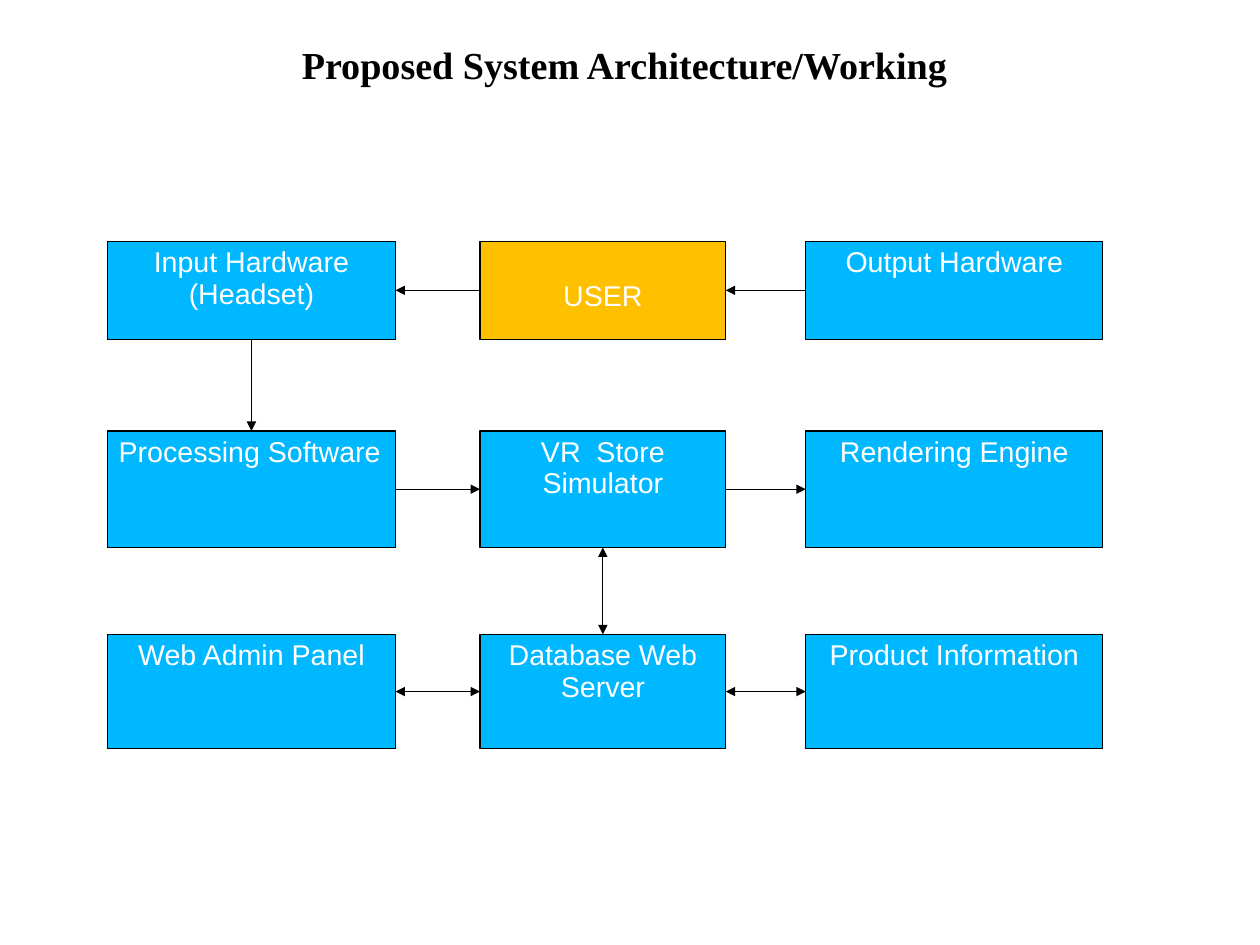
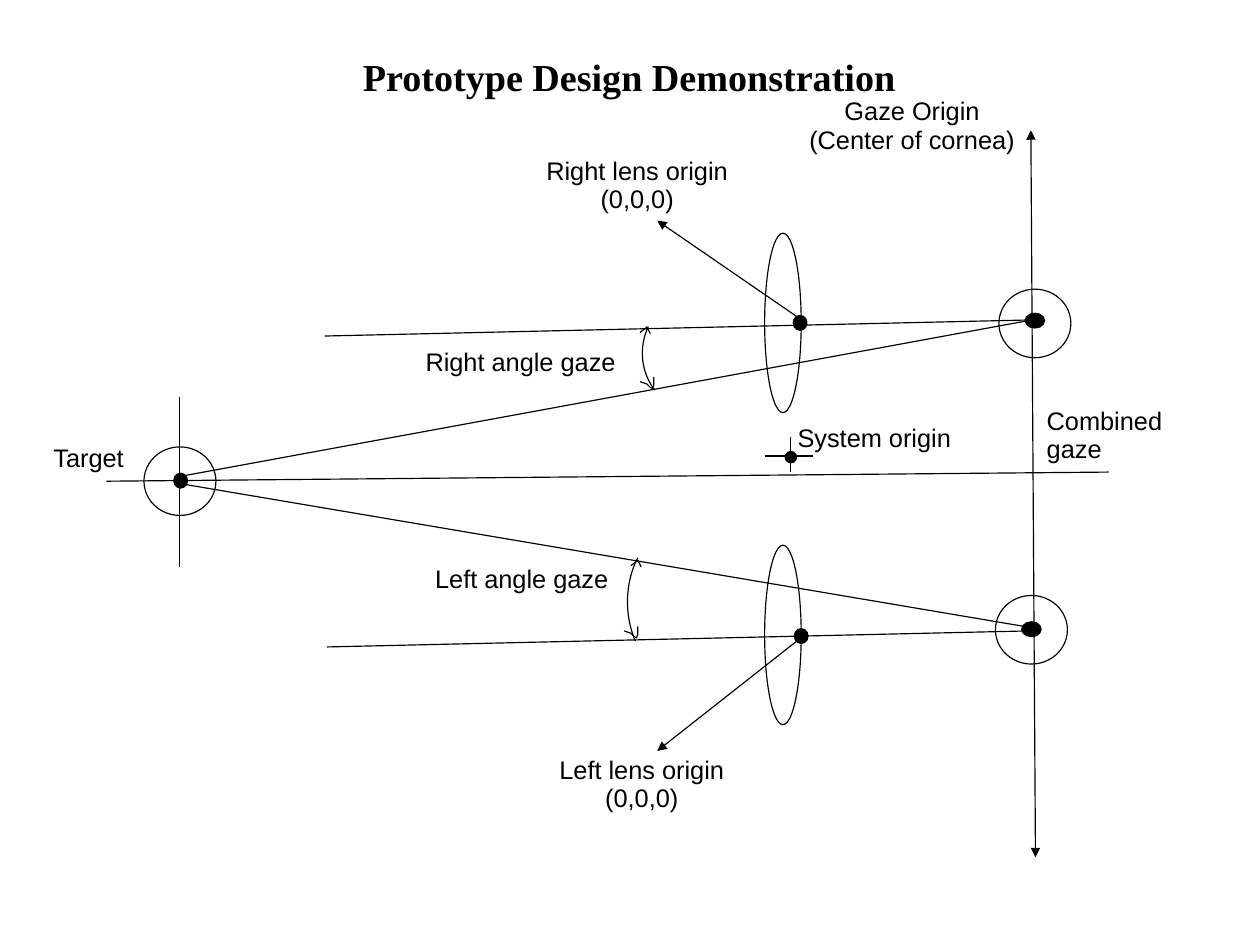
from lxml import etree
from pptx import Presentation
from pptx.dml.color import RGBColor
from pptx.enum.shapes import MSO_CONNECTOR, MSO_SHAPE
from pptx.enum.text import MSO_ANCHOR, PP_ALIGN
from pptx.oxml.ns import qn
from pptx.util import Inches, Pt

BLACK = RGBColor(0x00, 0x00, 0x00)
WHITE = RGBColor(0xFF, 0xFF, 0xFF)
BLUE = RGBColor(0x00, 0xB8, 0xFF)
AMBER = RGBColor(0xFF, 0xC0, 0x00)
LEFT, CENTER = PP_ALIGN.LEFT, PP_ALIGN.CENTER
TOP, MIDDLE = MSO_ANCHOR.TOP, MSO_ANCHOR.MIDDLE
RECT, OVAL, ARC = MSO_SHAPE.RECTANGLE, MSO_SHAPE.OVAL, MSO_SHAPE.ARC
DOT = MSO_SHAPE.FLOWCHART_CONNECTOR
STRAIGHT = MSO_CONNECTOR.STRAIGHT
BODY_FONT, TITLE_FONT = "Arial", "Times New Roman"
SLIDE_WIDTH, SLIDE_HEIGHT = Pt(793.75), Pt(595.25)
LINE_WIDTH = Pt(0.75)
LINE_SPACING = 0.93

COLUMNS = [(0.94, 2.52), (4.2, 2.15), (7.05, 2.6)]
ROWS = [(2.11, 0.86), (3.77, 1.02), (5.55, 1.0)]
BLOCKS = [
    [["Input Hardware", "(Headset)"], ["USER"], ["Output Hardware"]],
    [["Processing Software"], ["VR  Store Simulator"], ["Rendering Engine"]],
    [["Web Admin Panel"], ["Database Web Server"], ["Product Information"]],
]
USER_CELL, LEFT_CELL = (0, 1), (1, 0)
FLOWS = [
    ((0, 1), (0, 0), False),
    ((0, 2), (0, 1), False),
    ((0, 0), (1, 0), False),
    ((1, 0), (1, 1), False),
    ((1, 1), (1, 2), False),
    ((1, 1), (2, 1), True),
    ((2, 0), (2, 1), True),
    ((2, 1), (2, 2), True),
]

PLAIN_LINES = [
    (1.57, 3.47, 1.57, 4.96),
    (0.93, 4.21, 9.7, 4.13),
    (1.62, 4.16, 8.97, 2.81),
    (1.57, 4.23, 8.96, 5.48),
    (8.97, 2.8, 2.84, 2.94),
    (8.99, 5.52, 2.86, 5.66),
    (6.92, 3.82, 6.92, 4.13),
    (6.69, 3.99, 7.11, 3.99),
]
GAZE_AXIS = (9.06, 7.5, 9.02, 1.14)
LENS_POINTERS = [(7.06, 2.83, 5.75, 1.93), (6.97, 5.61, 5.75, 6.57)]
EYE_SIZE, EYES = (0.63, 0.6), [(8.74, 2.53), (8.71, 5.21), (1.26, 3.91)]
LENS_SIZE, LENSES = (0.32, 1.57), [(6.69, 2.04), (6.69, 4.77)]
PUPIL_SIZE, PUPILS = (0.17, 0.13), [(8.97, 2.74), (8.94, 5.44)]
POINT_SIZE, POINTS = (0.12, 0.13), [(1.52, 4.14), (6.94, 2.76), (6.95, 5.5)]
ORIGIN_SIZE, ORIGINS = (0.1, 0.1), [(6.87, 3.95)]
OUTLINES = [(EYE_SIZE, EYES), (LENS_SIZE, LENSES)]
DOTS = [(PUPIL_SIZE, PUPILS), (POINT_SIZE, POINTS), (ORIGIN_SIZE, ORIGINS)]
ANGLE_ARCS = [
    ((5.62, 2.59, 0.92, 1.0), (82.46, 125.79)),
    ((5.49, 4.64, 0.85, 1.25), (81.66, 137.39)),
]
UP_TIP = [(0, 0.05), (0.05, 0.01), (0.06, 0), (0.08, 0.04), (0.09, 0.06)]
DOWN_TIP = [(0, 0.04), (0.06, 0.06), (0.09, 0.09), (0.11, 0.1), (0.12, 0.07), (0.12, 0)]
ARC_TIPS = [
    (UP_TIP, [(5.6, 2.86), (5.52, 4.9)]),
    (DOWN_TIP, [(5.6, 3.3), (5.46, 5.48)]),
]
LABELS = [
    ((6.84, 0.81, 2.28, 0.6), CENTER, ["Gaze Origin", "(Center of cornea)"]),
    ((4.58, 1.33, 1.99, 0.6), CENTER, ["Right lens origin", "(0,0,0)"]),
    ((4.62, 6.57, 1.99, 0.6), CENTER, ["Left lens origin", "(0,0,0)"]),
    ((3.56, 3.0, 1.99, 0.35), CENTER, ["Right angle gaze"]),
    ((3.57, 4.9, 1.99, 0.35), CENTER, ["Left angle gaze"]),
    ((-0.22, 3.84, 1.99, 0.35), CENTER, ["Target"]),
    ((9.06, 3.52, 1.99, 0.6), LEFT, ["Combined", "gaze"]),
    ((6.88, 3.67, 1.99, 0.35), LEFT, ["System origin"]),
]


def inches(values):
    return [Inches(v) for v in values]


def write(tf, lines, size, color=BLACK, align=CENTER, font=BODY_FONT, bold=False):
    tf.word_wrap = True
    for i, text in enumerate(lines):
        p = tf.add_paragraph() if i else tf.paragraphs[0]
        p.alignment = align
        p.line_spacing = LINE_SPACING
        r = p.add_run()
        r.text = text
        r.font.name = font
        r.font.size = Pt(size)
        r.font.bold = bold
        r.font.color.rgb = color


def add_text(s, box, lines, size, **style):
    tf = s.shapes.add_textbox(*inches(box)).text_frame
    tf.vertical_anchor = TOP
    write(tf, lines, size, **style)
    return tf


def add_slide(prs, title, title_width, title_height):
    s = prs.slides.add_slide(prs.slide_layouts[6])
    box = (0.55, 0.33, title_width, title_height)
    tf = add_text(s, box, [title], 24, font=TITLE_FONT, bold=True)
    tf.margin_left = tf.margin_right = tf.margin_top = tf.margin_bottom = 0
    tf.vertical_anchor = MIDDLE
    return s


def finish(sp, fill=None):
    sp.shadow.inherit = False
    if fill is None:
        sp.fill.background()
    else:
        sp.fill.solid()
        sp.fill.fore_color.rgb = fill
    sp.line.color.rgb = BLACK
    sp.line.width = LINE_WIDTH
    return sp


def add_shape(s, kind, box, fill=None):
    return finish(s.shapes.add_shape(kind, *inches(box)), fill)


def add_line(s, ends, head=False, tail=False):
    line = s.shapes.add_connector(STRAIGHT, *inches(ends))
    line.line.color.rgb = BLACK
    line.line.width = LINE_WIDTH
    ln = line._element.spPr.find(qn("a:ln"))
    for tag, shown in (("a:headEnd", head), ("a:tailEnd", tail)):
        if shown:
            etree.SubElement(ln, qn(tag), type="triangle")
    etree.SubElement(line._element.spPr, qn("a:effectLst"))


def add_open_path(s, points):
    start, *rest = [tuple(inches(pt)) for pt in points]
    builder = s.shapes.build_freeform(*start)
    builder.add_line_segments(rest, close=False)
    finish(builder.convert_to_shape())


def flow_ends(start, end):
    (row, col), (row2, col2) = start, end
    if row == row2:
        y = ROWS[row][0] + ROWS[row][1] / 2
        near, far = sorted((col, col2))
        x1, x2 = sum(COLUMNS[near]), COLUMNS[far][0]
        return (x1, y, x2, y) if col < col2 else (x2, y, x1, y)
    x = COLUMNS[col][0] + COLUMNS[col][1] / 2
    return x, sum(ROWS[row]), x, ROWS[row2][0]


def build_architecture(prs):
    s = add_slide(prs, "Proposed System Architecture/Working", 9.83, 0.51)
    for row, (y, h) in enumerate(ROWS):
        for col, (x, w) in enumerate(COLUMNS):
            cell = (row, col)
            is_user = cell == USER_CELL
            sp = add_shape(s, RECT, (x, y, w, h), AMBER if is_user else BLUE)
            tf = sp.text_frame
            tf.vertical_anchor = TOP
            tf.margin_top = Inches(0.35 if is_user else 0.05)
            align = LEFT if cell == LEFT_CELL else CENTER
            write(tf, BLOCKS[row][col], 18, color=WHITE, align=align)
    for start, end, both in FLOWS:
        add_line(s, flow_ends(start, end), head=both, tail=True)


def build_prototype(prs):
    s = add_slide(prs, "Prototype Design Demonstration", 9.91, 0.71)
    for ends in PLAIN_LINES:
        add_line(s, ends)
    add_line(s, GAZE_AXIS, head=True, tail=True)
    for ends in LENS_POINTERS:
        add_line(s, ends, tail=True)
    for kind, fill, groups in ((OVAL, None, OUTLINES), (DOT, BLACK, DOTS)):
        for size, places in groups:
            for place in places:
                add_shape(s, kind, place + size, fill)
    for box, angles in ANGLE_ARCS:
        sp = add_shape(s, ARC, box)
        for i, angle in enumerate(angles):
            sp.adjustments[i] = angle
    for tip, places in ARC_TIPS:
        for x, y in places:
            add_open_path(s, [(x + dx, y + dy) for dx, dy in tip])
    for box, align, lines in LABELS:
        add_text(s, box, lines, 16, align=align)


prs = Presentation()
prs.slide_width, prs.slide_height = SLIDE_WIDTH, SLIDE_HEIGHT
build_architecture(prs)
build_prototype(prs)
prs.save("out.pptx")
